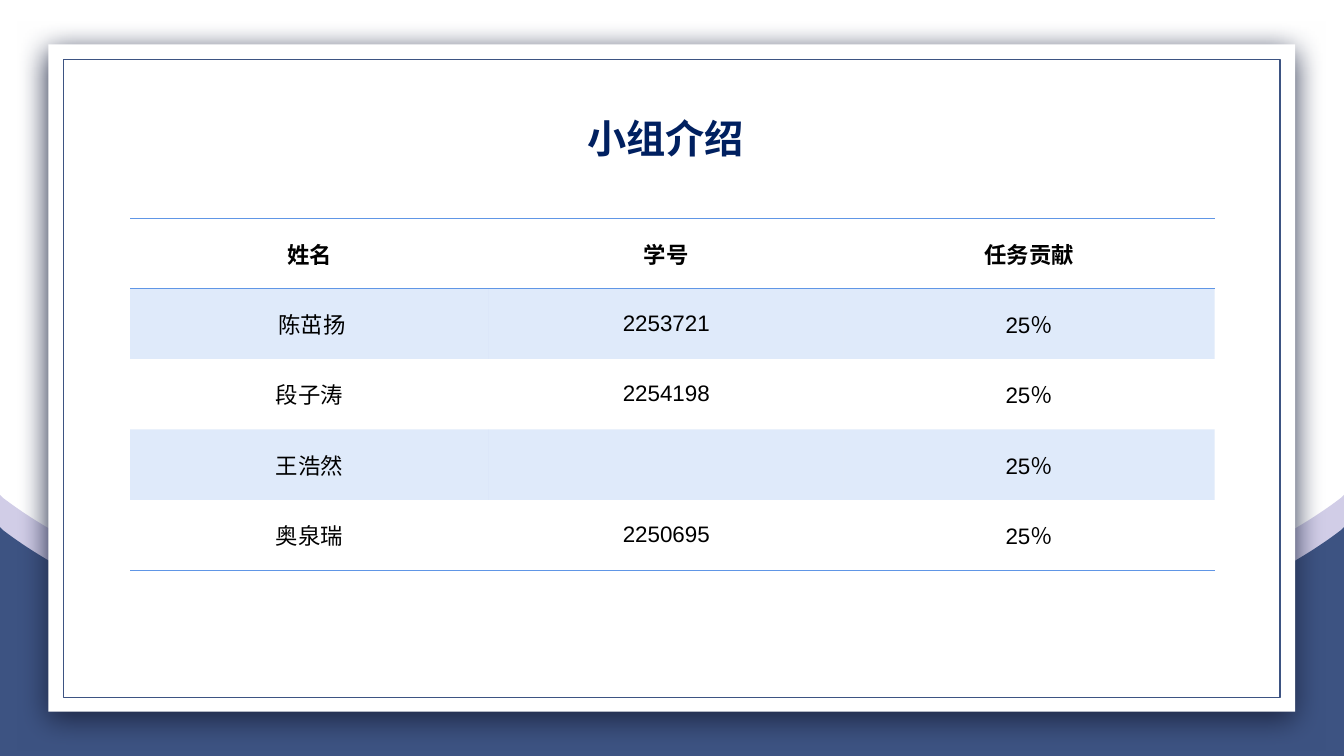
"""Build the group introduction slide with its member table."""
from lxml.etree import SubElement
from pptx import Presentation
from pptx.dml.color import RGBColor
from pptx.enum.shapes import MSO_SHAPE
from pptx.enum.text import MSO_ANCHOR, PP_ALIGN
from pptx.oxml import parse_xml
from pptx.oxml.ns import nsdecls, qn
from pptx.util import Inches, Pt

WHITE = RGBColor(0xFF, 0xFF, 0xFF)
BLACK = RGBColor(0, 0, 0)
NAVY = RGBColor(0x00, 0x20, 0x60)
INDIGO = RGBColor(0x3D, 0x53, 0x82)
LAVENDER = RGBColor(0xD1, 0xCD, 0xE7)
SHADOW = RGBColor(0x1D, 0x26, 0x43)
BLUE = RGBColor(0x60, 0x96, 0xE6)
CJK = "Noto Sans CJK SC"
WIDTH = 40 / 3


def format_run(r, size, font, color, bold):
    r.font.size = Pt(size)
    r.font.name = font
    r.font.color.rgb = color
    r.font.bold = bold
    SubElement(r.font._element, qn("a:ea")).set("typeface", CJK)


def border(side, visible):
    fill = f'<a:solidFill><a:srgbClr val="{BLUE}"/></a:solidFill>' if visible else "<a:noFill/>"
    return parse_xml(f'<a:{side} {nsdecls("a")} w="{Pt(1)}">{fill}</a:{side}>')


prs = Presentation()
prs.slide_width, prs.slide_height = Inches(WIDTH), Inches(7.5)
s = prs.slides.add_slide(prs.slide_layouts[6])

corners = [(0.03, 0.03), (WIDTH / 2, 1.65), (WIDTH - 0.03, 0.03),
           (WIDTH, 0), (WIDTH, 2.27), (0, 2.27)]
left_handles = [(1.29, 0.99), (3.79, 1.65)]
right_handles = [(WIDTH - x, y) for x, y in left_handles[::-1]]

for top, color in ((4.91, LAVENDER), (5.23, INDIGO)):
    builder = s.shapes.build_freeform(0, Inches(top))
    builder.add_line_segments([(Inches(x), Inches(top + y)) for x, y in corners], close=True)
    sp = builder.convert_to_shape()
    sp.shadow.inherit = False
    sp.fill.solid()
    sp.fill.fore_color.rgb = color
    sp.line.fill.background()
    segments = sp._element.findall(".//" + qn("a:lnTo"))
    for segment, handles in zip(segments[1:3], (left_handles, right_handles)):
        segment.tag = qn("a:cubicBezTo")
        for k, (x, y) in enumerate(handles):
            segment.insert(k, parse_xml(f'<a:pt {nsdecls("a")} x="{Inches(x)}" y="{Inches(y)}"/>'))

card = s.shapes.add_shape(MSO_SHAPE.RECTANGLE, Inches(0.48), Inches(0.44), Inches(12.37), Inches(6.62))
card.shadow.inherit = False
card.fill.solid()
card.fill.fore_color.rgb = WHITE
card.line.fill.background()
card._element.spPr.find(qn("a:effectLst")).append(parse_xml(
    f'<a:outerShdw {nsdecls("a")} blurRad="{Pt(22)}" dist="{Pt(6)}" dir="5400000" '
    f'algn="ctr" rotWithShape="0"><a:srgbClr val="{SHADOW}"/></a:outerShdw>'))

frame = s.shapes.add_shape(MSO_SHAPE.RECTANGLE, Inches(0.63), Inches(0.59), Inches(12.07), Inches(6.33))
frame.shadow.inherit = False
frame.fill.background()
frame.line.color.rgb = INDIGO
frame.line.width = Pt(1)

members = [
    ("姓名", "学号", "任务贡献"),
    (" 陈茁扬", "2253721", "25％"),
    ("段子涛", "2254198", "25％"),
    ("王浩然", "", "25％"),
    ("奥泉瑞", "2250695", "25％"),
]
table = s.shapes.add_table(5, 3, Inches(1.29), Inches(2.17), Inches(10.76), Inches(3.49)).table
table.first_row = table.horz_banding = False
for column, width in zip(table.columns, (3.56, 3.52, 3.68)):
    column.width = Inches(width)
for i, member in enumerate(members):
    header = i == 0
    table.rows[i].height = Inches(0.69 if header else 0.7)
    for j, text in enumerate(member):
        cell = table.cell(i, j)
        cell.vertical_anchor = MSO_ANCHOR.MIDDLE
        cell.margin_left = cell.margin_right = 0
        cell.margin_top = cell.margin_bottom = Inches(0.08 if header else 0)
        p = cell.text_frame.paragraphs[0]
        p.text = text
        p.alignment = PP_ALIGN.CENTER
        for r in p.runs:
            format_run(r, 16, "Arial", BLACK, header)
        tcPr = cell._tc.get_or_add_tcPr()
        if i % 2:
            cell.fill.solid()
            cell.fill.fore_color.rgb = BLUE
            SubElement(tcPr.find(".//" + qn("a:srgbClr")), qn("a:alpha")).set("val", "20000")
        else:
            cell.fill.background()
        sides = {"lnL": False, "lnR": False, "lnT": i in (0, 1), "lnB": i in (0, 4)}
        for k, (side, visible) in enumerate(sides.items()):
            tcPr.insert(k, border(side, visible))

title = s.shapes.add_textbox(Inches(3.23), Inches(1.12), Inches(6.75), Inches(0.53))
tf = title.text_frame
tf.word_wrap = True
tf.vertical_anchor = MSO_ANCHOR.BOTTOM
p = tf.paragraphs[0]
p.text = "小组介绍"
p.alignment = PP_ALIGN.CENTER
p.line_spacing = 1.5
format_run(p.runs[0], 28, CJK, NAVY, True)

prs.save("out.pptx")
